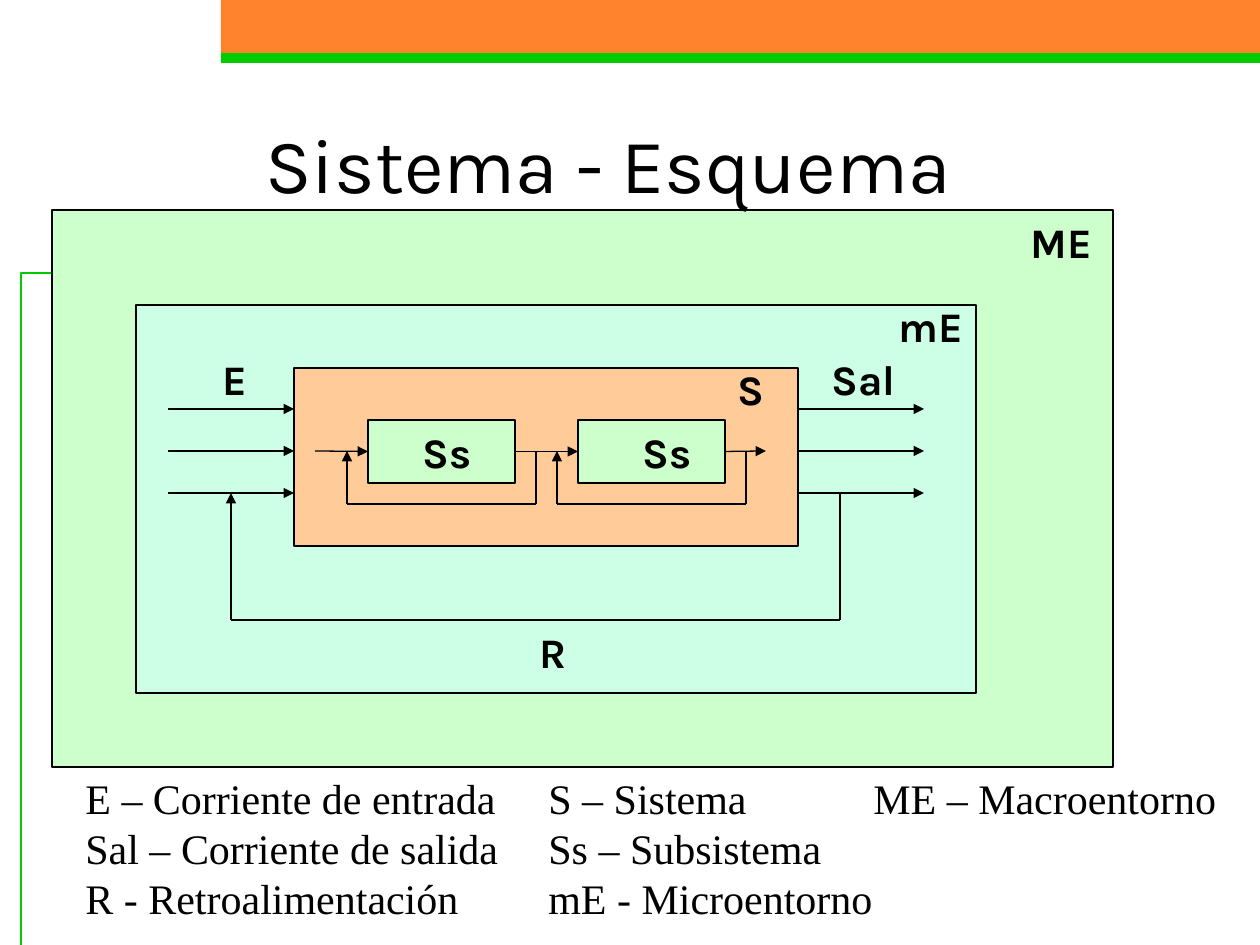
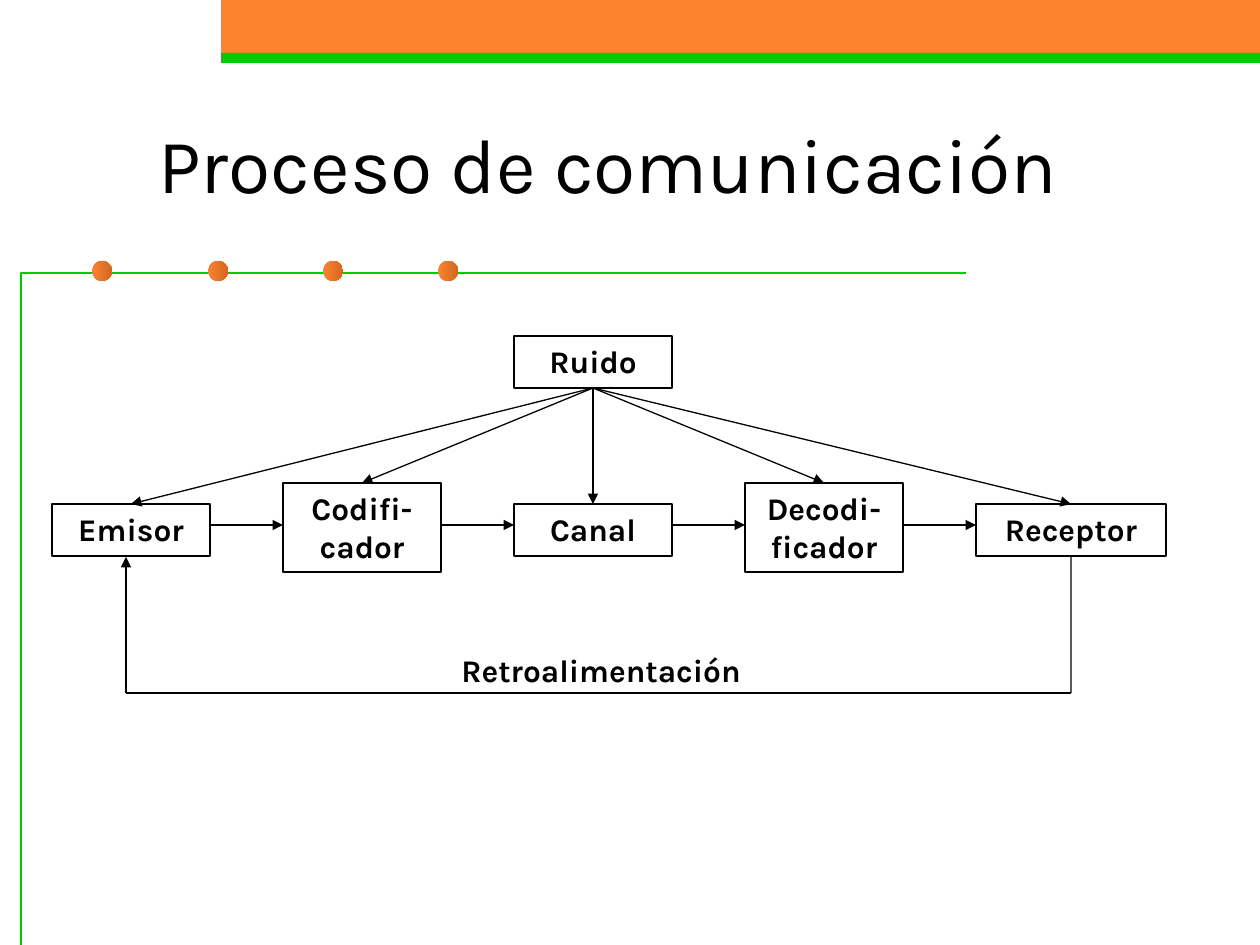
"""Build two slides: a system diagram and the communication process."""
from itertools import pairwise
from lxml import etree
from pptx import Presentation
from pptx import util as u
from pptx.dml.color import RGBColor
from pptx.enum import shapes, text
from pptx.oxml.ns import qn

SCALE = 914400 / 126
BLACK, ORANGE, GREEN, PALE = "000000", "FF822D", "00CC00", "CCFFCC"
SANS, SERIF = "Karla", "Times New Roman"
LABEL = {"size": u.Pt(24), "name": SANS, "bold": True}
SMALL = {**LABEL, "size": u.Pt(18)}
LEGEND = {"size": u.Pt(24), "name": SERIF}
TITLE = {"size": u.Pt(44), "name": SANS}

TITLE_BOX = (73, 84, 1071, 158)
BANDS = [((221, 0, 1039, 53), ORANGE), ((221, 53, 1039, 10), GREEN)]
FRAME = [(21, 945), (21, 273), (966, 273)]
DOTS = {"left": 92, "top": 261, "size": 20, "step": 231 / 2, "count": 4}

ENVIRONMENTS = [
    ((52, 210, 1061, 557), PALE, None),
    ((136, 305, 840, 388), "CCFFFF", 50),
    ((294, 368, 504, 178), "FFCC99", None),
]
SUBSYSTEMS = [(368, 420, 147, 63), (578, 420, 147, 63)]
FLOW_ROWS = [409, 451, 493]
FLOW_SPANS = [(168, 294), (798, 924)]
SUBSYSTEM_ENDS = (315, 766)
LOOPS = [
    [(536, 451), (536, 504), (347, 504), (347, 451)],
    [(746, 451), (746, 504), (557, 504), (557, 451)],
    [(840, 493), (840, 620), (231, 620), (231, 493)],
]
LABELS = [
    ("E", 210, 347, 52), ("Sal", 819, 347, 89), ("R", 527, 620, 55),
    ("S", 725, 357, 52), ("Ss", 630, 420, 74), ("Ss", 410, 420, 74),
    ("mE", 886, 294, 91), ("ME", 1018, 210, 88),
]
LEGENDS = [
    ((73, 766, 460, 164), ["E – Corriente de entrada",
                           "Sal – Corriente de salida",
                           "R - Retroalimentación"]),
    ((536, 766, 380, 164), ["S – Sistema", "Ss – Subsistema",
                            "mE - Microentorno"]),
    ((861, 766, 390, 63), ["ME – Macroentorno"]),
]

NOISE = ("Ruido", (514, 336, 158, 52))
STAGES = [
    ("Emisor", (52, 504, 158, 52)),
    ("Codifi-cador", (283, 483, 158, 89)),
    ("Canal", (514, 504, 158, 52)),
    ("Decodi-ficador", (745, 483, 158, 89)),
    ("Receptor", (976, 504, 190, 52)),
]
STAGE_FLOW = 525
FEEDBACK = [(1071, 556), (1071, 693), (126, 693), (126, 557)]
FEEDBACK_LABEL = ("Retroalimentación", (449, 645, 317, 50))


def px(n):
    return u.Emu(round(n * SCALE))


def rgb(color):
    return RGBColor.from_string(color)


def add_lines(tf, lines, font, align=text.PP_ALIGN.LEFT):
    for i, line in enumerate(lines):
        p = tf.paragraphs[0] if i == 0 else tf.add_paragraph()
        p.alignment = align
        r = p.add_run()
        r.text = line
        for name, value in font.items():
            setattr(r.font, name, value)
        r.font.color.rgb = rgb(BLACK)


def add_text(s, box, lines, font, align=text.PP_ALIGN.LEFT, wrap=False,
             anchor=text.MSO_ANCHOR.TOP):
    tf = s.shapes.add_textbox(*map(px, box)).text_frame
    tf.word_wrap, tf.vertical_anchor = wrap, anchor
    add_lines(tf, lines, font, align)


def set_line(sp, color):
    sp.line.color.rgb = rgb(color)
    sp.line.width = u.Pt(0.75)


def add_box(s, box, fill=None, line=None, alpha=None, kind="RECTANGLE"):
    sp = s.shapes.add_shape(shapes.MSO_SHAPE[kind], *map(px, box))
    sp.shadow.inherit = False
    if fill:
        sp.fill.solid()
        sp.fill.fore_color.rgb = rgb(fill)
    else:
        sp.fill.background()
    if alpha:
        color = sp.fill._xPr.find(".//" + qn("a:srgbClr"))
        etree.SubElement(color, qn("a:alpha"), val=str(alpha * 1000))
    if line:
        set_line(sp, line)
    else:
        sp.line.fill.background()
    return sp


def add_line(s, start, end, arrow=True, source=None, target=None):
    c = s.shapes.add_connector(shapes.MSO_CONNECTOR.STRAIGHT,
                               *map(px, (*start, *end)))
    set_line(c, BLACK)
    if arrow:
        etree.SubElement(c.line._get_or_add_ln(), qn("a:tailEnd"),
                         type="triangle")
    etree.SubElement(c._element.spPr, qn("a:effectLst"))
    if source:
        c.begin_connect(*source)
    if target:
        c.end_connect(*target)


def add_route(s, points, source=None):
    legs = list(pairwise(points))
    for i, (start, end) in enumerate(legs):
        add_line(s, start, end, i == len(legs) - 1,
                 source if i == 0 else None)


def add_base(prs):
    s = prs.slides.add_slide(prs.slide_layouts[6])
    for box, color in BANDS:
        add_box(s, box, color)
    builder = s.shapes.build_freeform(*FRAME[0], scale=SCALE)
    builder.add_line_segments(FRAME[1:], close=False)
    frame = builder.convert_to_shape()
    frame.shadow.inherit = False
    frame.fill.background()
    set_line(frame, GREEN)
    return s


def add_title(s, title):
    add_text(s, TITLE_BOX, [title], TITLE, text.PP_ALIGN.CENTER, True,
             text.MSO_ANCHOR.MIDDLE)


def add_dots(s):
    size = DOTS["size"]
    for i in range(DOTS["count"]):
        left = round(DOTS["left"] + i * DOTS["step"])
        dot = add_box(s, (left, DOTS["top"], size, size), kind="OVAL")
        dot.fill.gradient()
        dot.fill.gradient_angle = 0
        stops = dot.fill.gradient_stops
        for position, (stop, color) in enumerate(zip(stops, (ORANGE, "CD6924"))):
            stop.color.rgb = rgb(color)
            stop.position = position


def build_system(prs):
    s = add_base(prs)
    for box, fill, alpha in ENVIRONMENTS:
        add_box(s, box, fill, BLACK, alpha)
    add_title(s, "Sistema - Esquema")
    first, second = [add_box(s, box, PALE, BLACK) for box in SUBSYSTEMS]
    y = FLOW_ROWS[1]
    (x1, _, w1, _), (x2, _, w2, _) = SUBSYSTEMS
    enter, leave = SUBSYSTEM_ENDS
    add_line(s, (enter, y), (x1, y), target=(first, 1))
    add_line(s, (x1 + w1, y), (x2, y), source=(first, 3), target=(second, 1))
    add_line(s, (x2 + w2, y), (leave, y), source=(second, 3))
    for left, right in FLOW_SPANS:
        for row in FLOW_ROWS:
            add_line(s, (left, row), (right, row))
    for loop in LOOPS:
        add_route(s, loop)
    for label, x, y, w in LABELS:
        add_text(s, (x, y, w, 63), [label], LABEL)
    for box, lines in LEGENDS:
        add_text(s, box, lines, LEGEND, wrap=True)


def add_stage(s, name, box):
    sp = add_box(s, box, line=BLACK)
    tf = sp.text_frame
    tf.word_wrap, tf.vertical_anchor = True, text.MSO_ANCHOR.TOP
    add_lines(tf, [name], SMALL, text.PP_ALIGN.CENTER)
    return sp


def build_communication(prs):
    s = add_base(prs)
    add_dots(s)
    add_title(s, "Proceso de comunicación")
    noise = add_stage(s, *NOISE)
    stages = [add_stage(s, *stage) for stage in STAGES]
    for (_, a), (_, b) in pairwise(STAGES):
        add_line(s, (a[0] + a[2], STAGE_FLOW), (b[0], STAGE_FLOW))
    for stage in stages:
        add_line(s, (0, 0), (0, 0), source=(noise, 2), target=(stage, 0))
    add_route(s, FEEDBACK, source=(stages[-1], 2))
    label, box = FEEDBACK_LABEL
    add_text(s, box, [label], SMALL)


def main():
    prs = Presentation()
    prs.slide_width, prs.slide_height = px(1260), px(945)
    build_system(prs)
    build_communication(prs)
    prs.save("out.pptx")


if __name__ == "__main__":
    main()
